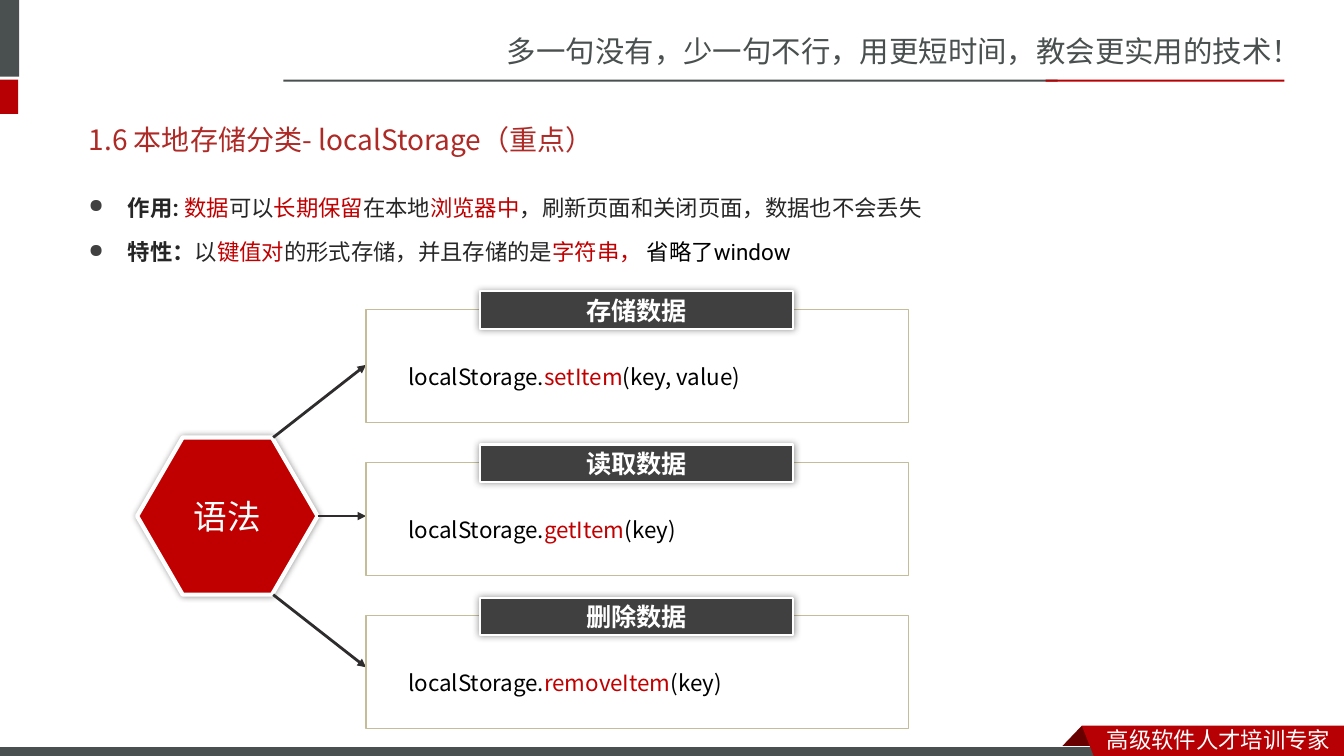
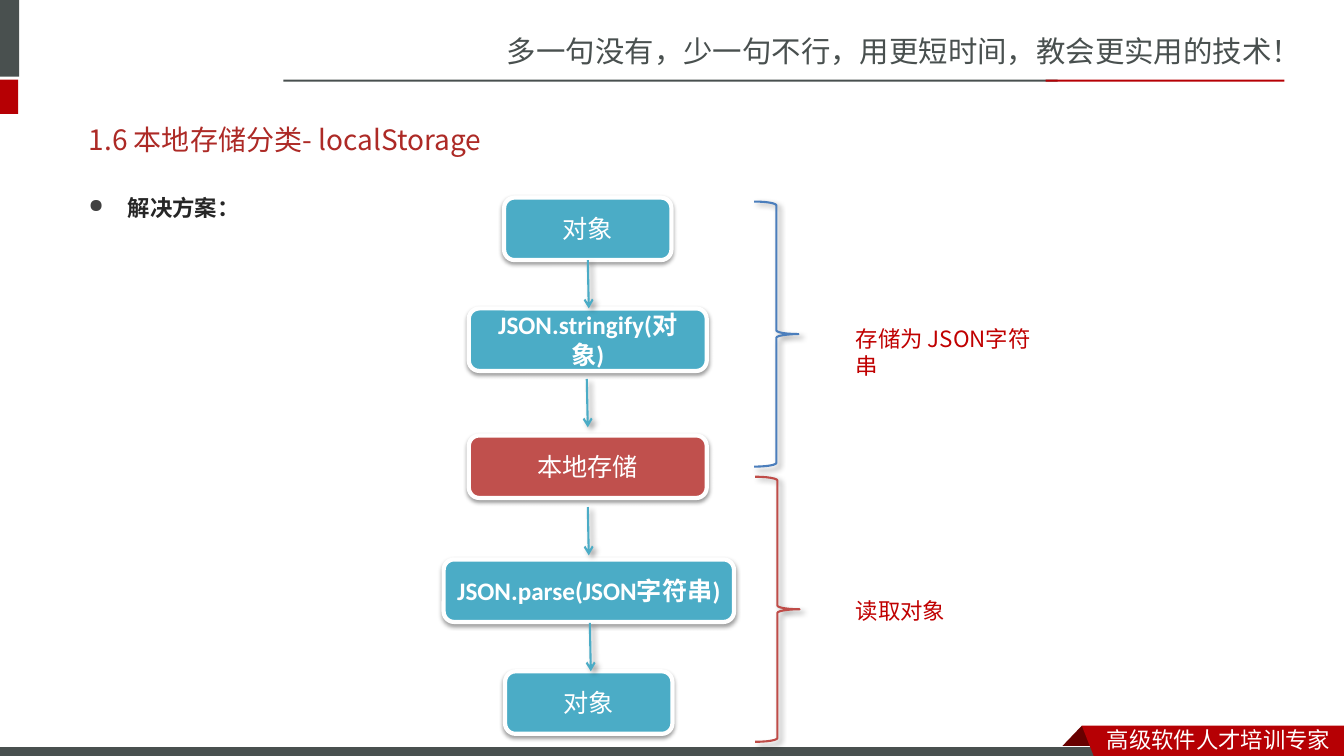
from lxml.etree import SubElement
from pptx import Presentation
from pptx.dml.color import RGBColor
from pptx.enum.lang import MSO_LANGUAGE_ID
from pptx.enum.shapes import MSO_CONNECTOR, MSO_SHAPE
from pptx.enum.text import MSO_ANCHOR, PP_ALIGN
from pptx.oxml.ns import qn
from pptx.util import Inches, Pt

TITLE_ONLY = 5
GRAY, BAND_RED, DARK_RED = "49504F", "B60004", "680000"
RED, TITLE_RED, BRICK, TEAL = "C00000", "AD2A26", "C0504D", "4BACC6"
WHITE, BLACK, INK, CHARCOAL = "FFFFFF", "000000", "262626", "404040"
ARROW_GRAY, TAN = "2E2C2C", "C4BD97"
BRACE_BLUE, BRACE_RED = "4B7EBC", "BF4C48"
SANS, SANS_SC, BODY, BOX = "Noto Sans CJK JP", "Noto Sans CJK SC", "Roboto", "Calibri"

# Shadows: opacity in percent, blur and distance in points, angle in degrees
GLOW = (40, 5, 0, 0)
DROP = (38, 3.1, 1.6, 90)
SLANTED = (40, 4, 3, 45)


def rgb(color):
    return RGBColor.from_string(color)


def set_shadow(shape, shadow=None):
    """Replace the theme shadow; call it after the line has been set."""
    effects = SubElement(shape.element.spPr, qn("a:effectLst"))
    if shadow:
        opacity, blur, distance, angle = shadow
        outer = SubElement(effects, qn("a:outerShdw"), blurRad=str(Pt(blur)),
                           dist=str(Pt(distance)), dir=str(angle * 60000),
                           rotWithShape="0")
        tint = SubElement(outer, qn("a:srgbClr"), val=BLACK)
        SubElement(tint, qn("a:alpha"), val=str(opacity * 1000))


def style_shape(shape, fill=None, line=None, weight=0, shadow=None):
    if fill:
        shape.fill.solid()
        shape.fill.fore_color.rgb = rgb(fill)
    else:
        shape.fill.background()
    if line:
        shape.line.color.rgb = rgb(line)
        shape.line.width = Pt(weight)
    else:
        shape.line.fill.background()
    set_shadow(shape, shadow)
    return shape


def add_shape(slide, preset, left, top, width, height, **style):
    shape = slide.shapes.add_shape(preset, Inches(left), Inches(top),
                                   Inches(width), Inches(height))
    return style_shape(shape, **style)


def add_polygon(slide, points, fill):
    corners = [(Inches(x), Inches(y)) for x, y in points]
    builder = slide.shapes.build_freeform(*corners[0])
    builder.add_line_segments(corners[1:], close=True)
    return style_shape(builder.convert_to_shape(), fill=fill)


def add_arrow(slide, start, end, color, weight, head, shadow=None):
    ends = [Inches(value) for value in (*start, *end)]
    connector = slide.shapes.add_connector(MSO_CONNECTOR.STRAIGHT, *ends)
    connector.line.color.rgb = rgb(color)
    connector.line.width = Pt(weight)
    line = connector.element.spPr.find(qn("a:ln"))
    SubElement(line, qn("a:tailEnd"), type=head)
    set_shadow(connector, shadow)


def add_runs(paragraph, runs, size, font):
    """Add runs given as (text, color) or (text, color, bold)."""
    for text, color, *bold in runs:
        run = paragraph.add_run()
        run.text = text
        run.font.size = Pt(size)
        run.font.name = font
        run.font.bold = bool(bold and bold[0])
        run.font.color.rgb = rgb(color)
        run.font.language_id = MSO_LANGUAGE_ID.SIMPLIFIED_CHINESE
        east_asian = font if font in (SANS, SANS_SC) else SANS_SC
        SubElement(run._r.get_or_add_rPr(), qn("a:ea"), typeface=east_asian)


def add_text(slide, left, top, width, height, runs, size, font=SANS):
    box = slide.shapes.add_textbox(Inches(left), Inches(top),
                                   Inches(width), Inches(height))
    box.text_frame.word_wrap = True
    add_runs(box.text_frame.paragraphs[0], runs, size, font)
    return box


def label_shape(shape, text, size, font=SANS, bold=False):
    frame = shape.text_frame
    frame.word_wrap = True
    frame.vertical_anchor = MSO_ANCHOR.MIDDLE
    frame.paragraphs[0].alignment = PP_ALIGN.CENTER
    add_runs(frame.paragraphs[0], [(text, WHITE, bold)], size, font)


def add_bullets(slide, items):
    box = slide.shapes.add_textbox(Inches(0.78), Inches(1.74), Inches(11.72), Inches(1))
    frame = box.text_frame
    frame.word_wrap = True
    for index, runs in enumerate(items):
        paragraph = frame.add_paragraph() if index else frame.paragraphs[0]
        paragraph.line_spacing = 1.5
        paragraph.space_before = Pt(3.2)
        properties = paragraph._p.get_or_add_pPr()
        properties.set("marL", str(Inches(0.39)))
        properties.set("indent", str(-Inches(0.39)))
        bullet_color = SubElement(properties, qn("a:buClr"))
        SubElement(bullet_color, qn("a:srgbClr"), val=CHARCOAL)
        SubElement(properties, qn("a:buSzPct"), val="85000")
        SubElement(properties, qn("a:buChar"), char="●")
        add_runs(paragraph, runs, 16, BODY)


def add_frame(slide):
    """Draw the header and footer, then move them to the slide's layout."""
    bands = [
        (-0.06, 0, 0.25, 0.76, GRAY),
        (-0.06, 0.79, 0.24, 0.34, BAND_RED),
        (2.81, 0.79, 7.68, 0.02, GRAY),
        (10.37, 0.79, 2.37, 0.02, BAND_RED),
    ]
    parts = [add_shape(slide, MSO_SHAPE.RECTANGLE, *place, fill=color)
             for *place, color in bands]
    parts += [
        add_text(slide, 4.93, 0.28, 8.41, 0.47,
                 [("多一句没有，少一句不行，用更短时间，教会更实用的技术！", GRAY)], 21, SANS_SC),
        add_polygon(slide, [(10.73, 7.2), (10.95, 7.43), (10.51, 7.43)], DARK_RED),
        add_shape(slide, MSO_SHAPE.RECTANGLE, -0.01, 7.41, 11, 0.12,
                  fill=GRAY, line=WHITE, weight=0.75),
        add_polygon(slide, [(10.73, 7.2), (13.33, 7.2), (13.33, 7.54), (10.86, 7.53)],
                    BAND_RED),
        add_text(slide, 10.88, 7.15, 2.45, 0.37,
                 [("高级软件人才培训专家", WHITE)], 16, SANS_SC),
    ]
    for part in parts:
        slide.slide_layout.shapes.element.append(part.element)


def add_slide(presentation, title_text):
    slide = presentation.slides.add_slide(presentation.slide_layouts[TITLE_ONLY])
    title = slide.shapes.title
    title.left, title.top = Inches(0.78), Inches(1.1)
    title.width, title.height = Inches(11.75), Inches(0.57)
    title.text_frame.vertical_anchor = MSO_ANCHOR.MIDDLE
    paragraph = title.text_frame.paragraphs[0]
    paragraph.alignment = PP_ALIGN.LEFT
    add_runs(paragraph, [(title_text, TITLE_RED)], 20, SANS)
    return slide


def add_method_card(slide, top, heading, method, arguments):
    add_shape(slide, MSO_SHAPE.RECTANGLE, 3.63, top, 5.38, 1.12, fill=WHITE, line=TAN)
    bar = add_shape(slide, MSO_SHAPE.RECTANGLE, 4.76, top - 0.18, 3.11, 0.37,
                    fill=CHARCOAL, line=WHITE, weight=1.5, shadow=GLOW)
    label_shape(bar, heading, 18, bold=True)
    code = add_text(slide, 3.79, top + 0.35, 5, 0.47,
                    [("localStorage.", BLACK), (method, RED), (arguments, BLACK)], 16)
    code.text_frame.margin_left = Inches(0.26)
    code.text_frame.paragraphs[0].line_spacing = 1.5


def build_syntax_slide(slide):
    add_bullets(slide, [
        [("作用: ", INK, True), ("数据", RED), ("可以", INK), ("长期保留", RED),
         ("在本地", INK), ("浏览器中", RED),
         ("，刷新页面和关闭页面，数据也不会丢失", INK)],
        [("特性：", INK, True), ("以", INK), ("键值对", RED),
         ("的形式存储，并且存储的是", INK), ("字符串， ", RED), ("省略了window", BLACK)],
    ])
    hexagon = add_shape(slide, MSO_SHAPE.HEXAGON, 1.36, 4.34, 1.79, 1.56,
                        fill=RED, line=WHITE, weight=3, shadow=GLOW)
    hexagon.adjustments[0] = 0.29
    label_shape(hexagon, "语法", 24)

    for start, end_top in (((2.71, 4.34), 3.62), ((3.15, 5.12), 5.12), ((2.71, 5.9), 6.62)):
        add_arrow(slide, start, (3.63, end_top), ARROW_GRAY, 0, "triangle")
    methods = [
        ("存储数据", "setItem", "(key, value)"),
        ("读取数据", "getItem", "(key)"),
        ("删除数据", "removeItem", "(key)"),
    ]
    for index, method in enumerate(methods):
        add_method_card(slide, 3.07 + index * 1.52, *method)


def build_json_slide(slide):
    add_bullets(slide, [[("解决方案：", INK, True)]])
    steps = [
        ("对象", 5, 1.96, 1.66, TEAL, False),
        ("JSON.stringify(对象)", 4.65, 3.06, 2.36, TEAL, True),
        ("本地存储", 4.65, 4.32, 2.36, BRICK, False),
        ("JSON.parse(JSON字符串)", 4.4, 5.55, 2.88, TEAL, True),
        ("对象", 5.01, 6.66, 1.66, TEAL, False),
    ]
    for text, left, top, width, color, bold in steps:
        box = add_shape(slide, MSO_SHAPE.ROUNDED_RECTANGLE, left, top, width, 0.62,
                        fill=color, line=WHITE, weight=3, shadow=DROP)
        label_shape(box, text, 18, BOX, bold)
    for x, top in ((5.83, 2.58), (5.82, 3.76), (5.83, 5.03), (5.85, 6.18)):
        add_arrow(slide, (x, top), (x + 0.01, top + 0.48), TEAL, 1.5, "arrow", SLANTED)

    braces = [
        (7.48, 2, BRACE_BLUE, "存储为 JSON字符串", 3.18),
        (7.49, 4.73, BRACE_RED, "读取对象", 5.87),
    ]
    for left, top, color, note, note_top in braces:
        add_shape(slide, MSO_SHAPE.RIGHT_BRACE, left, top, 0.44, 2.63,
                  line=color, weight=1.5, shadow=SLANTED)
        add_text(slide, 8.39, note_top, 2.1, 0.37, [(note, RED)], 16)


def main():
    presentation = Presentation()
    presentation.slide_width, presentation.slide_height = Inches(13.33), Inches(7.5)
    syntax_slide = add_slide(presentation, "1.6 本地存储分类- localStorage（重点）")
    add_frame(syntax_slide)
    build_syntax_slide(syntax_slide)
    build_json_slide(add_slide(presentation, "1.6 本地存储分类- localStorage"))
    presentation.save("out.pptx")


if __name__ == "__main__":
    main()
